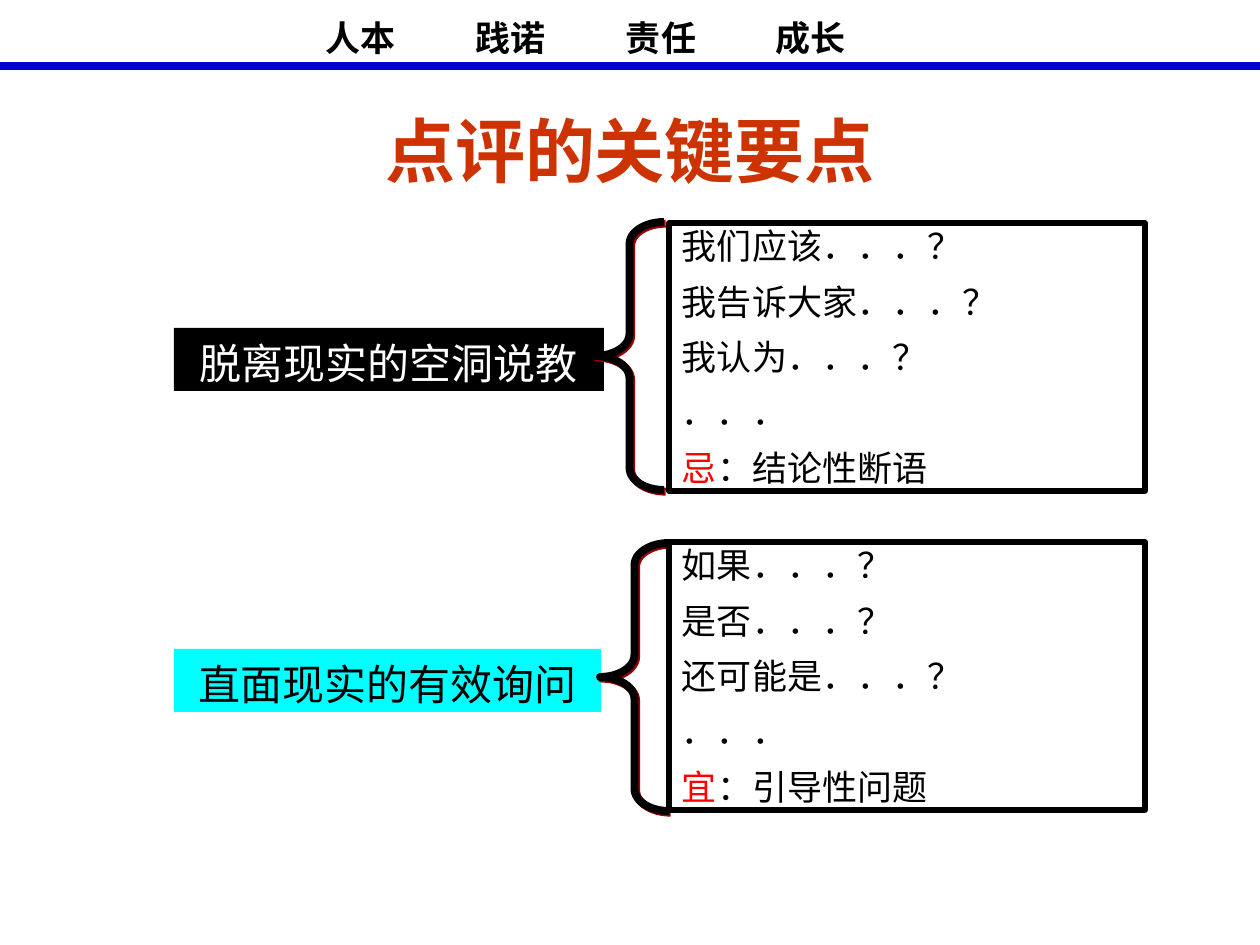
from lxml import etree
from pptx import Presentation
from pptx.dml.color import RGBColor
from pptx.enum.shapes import MSO_CONNECTOR, MSO_SHAPE
from pptx.enum.text import MSO_ANCHOR, PP_ALIGN
from pptx.oxml.ns import qn
from pptx.util import Emu, Pt

PX_PER_INCH = 126
BLANK_LAYOUT = 6
RECTANGLE = MSO_SHAPE.RECTANGLE
LEFT_BRACE = MSO_SHAPE.LEFT_BRACE
STRAIGHT = MSO_CONNECTOR.STRAIGHT
LEFT, CENTER = PP_ALIGN.LEFT, PP_ALIGN.CENTER
TOP, MIDDLE = MSO_ANCHOR.TOP, MSO_ANCHOR.MIDDLE

BLACK, WHITE, RED = "000000", "FFFFFF", "FF0000"
BLUE, CYAN, RUST, DARK_RED = "0000CC", "00FFFF", "CC3300", "990000"


def px(length):
    return Emu(round(length * 914400 / PX_PER_INCH))


def rgb(value):
    return RGBColor.from_string(value)


class SlideBuilder:
    latin_font = "Arial"
    chinese_font = "Noto Sans CJK SC"

    def __init__(self, slide):
        self.slide = slide

    def style_run(self, run, size, color, bold=False, font=None):
        run.font.size = Pt(size)
        run.font.bold = bold
        run.font.color.rgb = rgb(color)
        run.font.name = font or self.latin_font
        east_asian = etree.SubElement(run._r.get_or_add_rPr(), qn("a:ea"))
        east_asian.set("typeface", self.chinese_font)

    def frame(self, shape, anchor=TOP, left=13, top=10):
        text_frame = shape.text_frame
        text_frame.word_wrap = True
        text_frame.vertical_anchor = anchor
        text_frame.margin_left, text_frame.margin_right = px(left), px(13)
        text_frame.margin_top, text_frame.margin_bottom = px(top), px(6)
        return text_frame

    def rectangle(self, left, top, width, height, fill=None, line=None):
        shape = self.slide.shapes.add_shape(
            RECTANGLE, px(left), px(top), px(width), px(height))
        shape.shadow.inherit = False
        if fill:
            shape.fill.solid()
            shape.fill.fore_color.rgb = rgb(fill)
        else:
            shape.fill.background()
        if line:
            shape.line.color.rgb = rgb(line)
            shape.line.width = Pt(3)
        else:
            shape.line.fill.background()
        return shape

    def header(self, words, tab_step):
        box = self.slide.shapes.add_textbox(px(64), px(6), px(1132), px(55))
        paragraph = self.frame(box, left=262).paragraphs[0]
        tab_list = etree.SubElement(paragraph._p.get_or_add_pPr(), qn("a:tabLst"))
        for index in range(1, len(words)):
            etree.SubElement(tab_list, qn("a:tab"),
                             pos=str(px(index * tab_step)), algn="l")
        paragraph.text = "\t".join(words)
        paragraph.alignment = LEFT
        paragraph.line_spacing = Pt(24)
        for run in paragraph.runs:
            self.style_run(run, 20, BLACK, bold=True, font=self.chinese_font)

    def rule(self, y, width):
        connector = self.slide.shapes.add_connector(
            STRAIGHT, px(0), px(y), px(width), px(y))
        connector.line.color.rgb = rgb(BLUE)
        connector.line.width = Pt(4.5)
        etree.SubElement(connector._element.spPr, qn("a:effectLst"))

    def title(self, text):
        box = self.slide.shapes.add_textbox(px(63), px(113), px(1134), px(73))
        paragraph = self.frame(box, MIDDLE, top=6).paragraphs[0]
        paragraph.text = text
        paragraph.alignment = CENTER
        self.style_run(paragraph.runs[0], 40, RUST, bold=True)

    def label(self, text, top, width, fill, color):
        shape = self.rectangle(174, top, width, 63, fill=fill)
        paragraph = self.frame(shape).paragraphs[0]
        paragraph.text = text
        paragraph.alignment = CENTER
        paragraph.line_spacing = Pt(28.8)
        self.style_run(paragraph.runs[0], 24, color)

    def brace(self, left, top):
        shape = self.slide.shapes.add_shape(
            LEFT_BRACE, px(left), px(top), px(69), px(268))
        shape.adjustments[0] = 0.32
        shape.fill.background()
        shape.line.color.rgb = rgb(BLACK)
        shape.line.width = Pt(4.5)
        shape.shadow.inherit = False
        effects = shape._element.spPr.find(qn("a:effectLst"))
        shadow = etree.SubElement(effects, qn("a:outerShdw"), dist=str(Pt(1.4)),
                                  dir="2700000", algn="ctr", rotWithShape="0")
        etree.SubElement(shadow, qn("a:srgbClr"), val=DARK_RED)

    def panel(self, top, lines, keyword, advice):
        shape = self.rectangle(669, top, 476, 268, line=BLACK)
        text_frame = self.frame(shape)
        text_frame.text = "\n".join(lines + [keyword])
        last = text_frame.paragraphs[-1]
        last.add_run().text = advice
        for index, paragraph in enumerate(text_frame.paragraphs):
            paragraph.alignment = LEFT
            paragraph.line_spacing = Pt(19.2)
            paragraph.space_before = Pt(12.5 if index else 0)
            for run in paragraph.runs:
                self.style_run(run, 20, RED if run.text == keyword else BLACK)


def main():
    presentation = Presentation()
    presentation.slide_width, presentation.slide_height = px(1260), px(945)
    layout = presentation.slide_layouts[BLANK_LAYOUT]
    builder = SlideBuilder(presentation.slides.add_slide(layout))

    # Header and title
    builder.header(["人本", "践诺", "责任", "成长"], tab_step=150)
    builder.rule(66, 1260)
    builder.title("点评的关键要点")

    # Approaches to the left
    builder.label("直面现实的有效询问", 649, 427, CYAN, BLACK)
    builder.label("脱离现实的空洞说教", 328, 430, BLACK, WHITE)

    # Typical phrases, each behind its brace
    builder.brace(595, 222)
    builder.panel(223, ["我们应该．．．？", "我告诉大家．．．？", "我认为．．．？", "．．．"],
                  "忌", "：结论性断语")
    builder.brace(600, 543)
    builder.panel(542, ["如果．．．？", "是否．．．？", "还可能是．．．？", "．．．"],
                  "宜", "：引导性问题")

    presentation.save("out.pptx")


if __name__ == "__main__":
    main()
